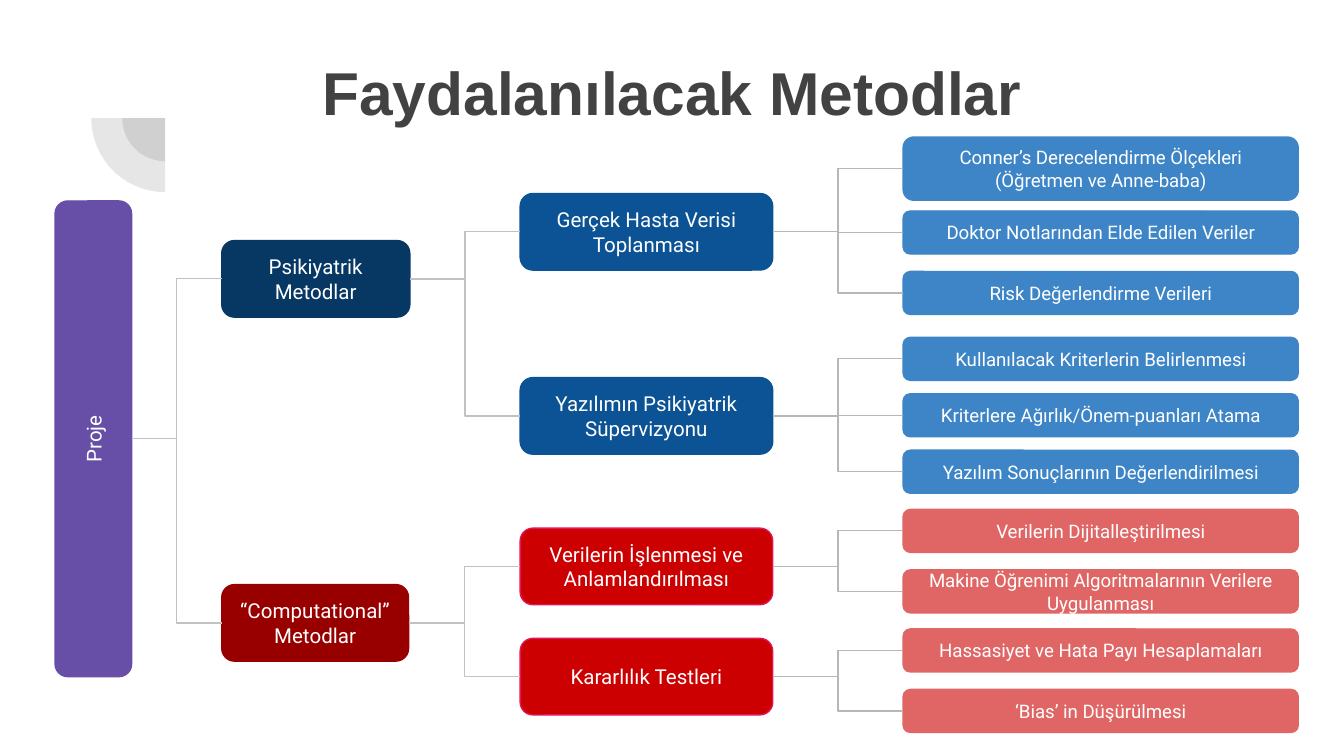
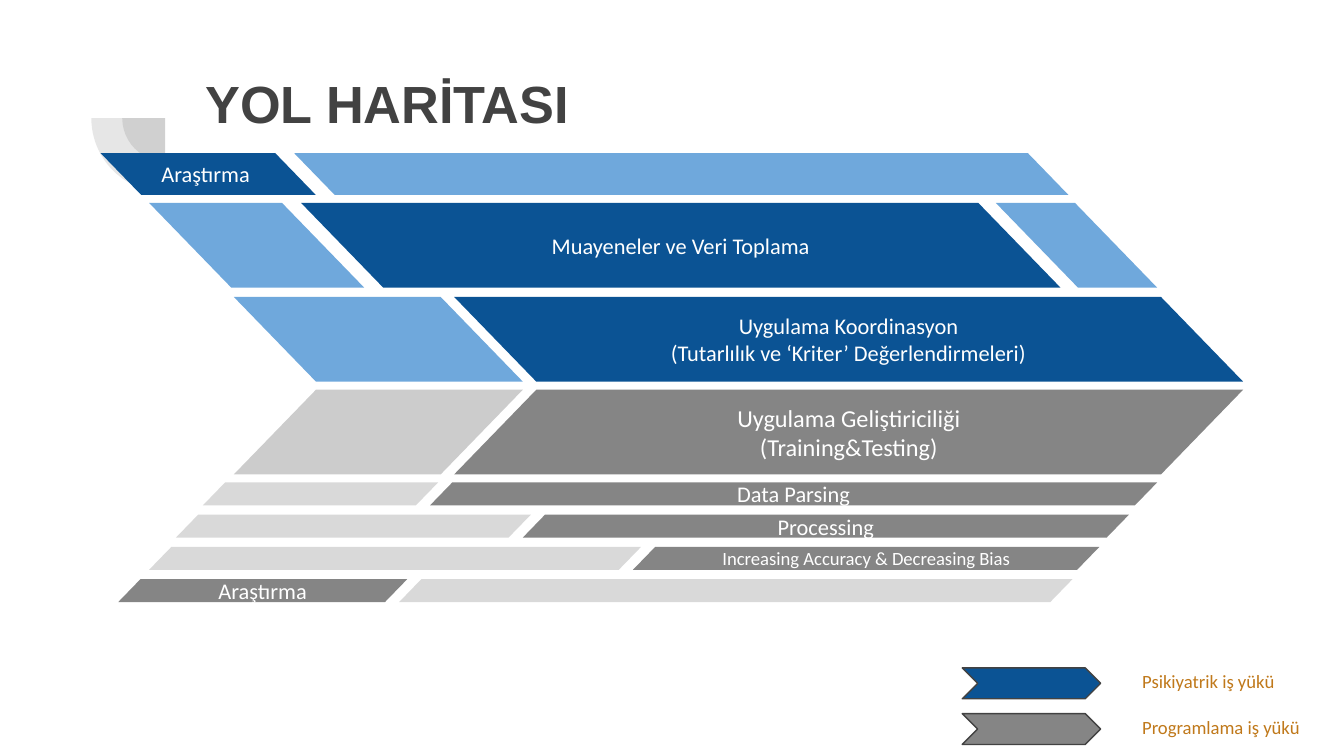
from lxml import etree
from pptx import Presentation
from pptx.dml.color import RGBColor
from pptx.enum.shapes import MSO_CONNECTOR, MSO_SHAPE
from pptx.enum.text import MSO_ANCHOR, MSO_AUTO_SIZE, PP_ALIGN
from pptx.oxml.ns import qn
from pptx.util import Inches, Pt

PIE = MSO_SHAPE.PIE
ROUNDED = MSO_SHAPE.ROUNDED_RECTANGLE
PARALLELOGRAM = MSO_SHAPE.PARALLELOGRAM
CHEVRON = MSO_SHAPE.CHEVRON
ELBOW = MSO_CONNECTOR.ELBOW
LEFT, CENTER = PP_ALIGN.LEFT, PP_ALIGN.CENTER
TOP, MIDDLE = MSO_ANCHOR.TOP, MSO_ANCHOR.MIDDLE
GROW = MSO_AUTO_SIZE.SHAPE_TO_FIT_TEXT

COLORS = {
    "dark": "424242",
    "white": "FFFFFF",
    "purple": "674EA7",
    "navy": "073763",
    "blue": "0B5394",
    "mid_blue": "3D85C6",
    "light_blue": "6FA8DC",
    "maroon": "980000",
    "red": "CC0000",
    "pink": "E1165A",
    "coral": "E06666",
    "gray": "858585",
    "silver": "CCCCCC",
    "pale": "D9D9D9",
    "trunk": "C2C2C2",
    "branch": "B7B7B7",
    "amber": "C0791B",
}
TITLE_FONT, TREE_FONT, ROADMAP_FONT = "Arial", "Roboto", "Calibri"
SLIDE_WIDTH = Inches(10)
SLIDE_HEIGHT = SLIDE_WIDTH * 9 // 16
SLANT = 0.97
LEAF_HEIGHT = 0.32
NODE_HEIGHT = 0.57

METHOD_TREE = [
    ("Psikiyatrik Metodlar", 0.77, 1.4, "navy", [
        ("Gerçek Hasta Verisi Toplanması", 0.42, "blue", "blue", "mid_blue", [
            (0, 0.47, ["Conner’s Derecelendirme Ölçekleri", "(Öğretmen ve Anne-baba)"]),
            (0.55, LEAF_HEIGHT, ["Doktor Notlarından Elde Edilen Veriler"]),
            (1, LEAF_HEIGHT, ["Risk Değerlendirme Verileri"]),
        ]),
        ("Yazılımın Psikiyatrik Süpervizyonu", 1.79, "blue", "blue", "mid_blue", [
            (1.49, LEAF_HEIGHT, ["Kullanılacak Kriterlerin Belirlenmesi"]),
            (1.91, LEAF_HEIGHT, ["Kriterlere Ağırlık/Önem-puanları Atama"]),
            (2.33, LEAF_HEIGHT, ["Yazılım Sonuçlarının Değerlendirilmesi"]),
        ]),
    ]),
    ("“Computational” Metodlar", 3.33, 1.39, "maroon", [
        ("Verilerin İşlenmesi ve Anlamlandırılması", 2.91, "red", "pink", "coral", [
            (2.77, LEAF_HEIGHT, ["Verilerin Dijitalleştirilmesi"]),
            (3.22, LEAF_HEIGHT, ["Makine Öğrenimi Algoritmalarının Verilere Uygulanması"]),
        ]),
        ("Kararlılık Testleri", 3.73, "red", "pink", "coral", [
            (3.66, LEAF_HEIGHT, ["Hassasiyet ve Hata Payı Hesaplamaları"]),
            (4.11, LEAF_HEIGHT, ["‘Bias’ in Düşürülmesi"]),
        ]),
    ]),
]

DOWN_ROWS = [
    (0, 0.31, [
        (0, 1.6, "blue", ["Araştırma "], 12),
        (1.44, 5.76, "light_blue", [], 12),
    ]),
    (0.37, 0.63, [
        (0.36, 1.6, "light_blue", [], 12),
        (1.49, 5.65, "blue", ["Muayeneler ve Veri Toplama"], 12),
        (6.66, 1.2, "light_blue", [], 12),
    ]),
    (1.07, 0.63, [
        (0.99, 2.15, "light_blue", [], 12),
        (2.63, 5.87, "blue",
         ["Uygulama Koordinasyon", "(Tutarlılık ve ‘Kriter’ Değerlendirmeleri)"], 12),
    ]),
]
UP_ROWS = [
    (1.76, 0.63, [
        (0.99, 2.15, "silver", [], 13),
        (2.63, 5.87, "gray", ["Uygulama Geliştiriciliği", "(Training&Testing)"], 13),
    ]),
    (2.45, 0.17, [
        (0.76, 1.75, "pale", [], 12),
        (2.45, 5.41, "gray", ["Data Parsing"], 12),
    ]),
    (2.69, 0.17, [
        (0.56, 2.64, "pale", [], 12),
        (3.14, 4.51, "gray", ["Processing"], 12),
    ]),
    (2.93, 0.17, [
        (0.36, 3.66, "pale", [], 12),
        (3.96, 3.47, "gray", ["Increasing Accuracy & Decreasing Bias"], 10),
    ]),
    (3.17, 0.17, [
        (0.13, 2.15, "gray", ["Araştırma"], 12),
        (2.22, 5.01, "pale", [], 12),
    ]),
]


def rgb(name):
    return RGBColor.from_string(COLORS[name])


def write(shape, lines, font, size, color, align=CENTER, anchor=MIDDLE, bold=False, spacing=None):
    frame = shape.text_frame
    frame.word_wrap = True
    frame.vertical_anchor = anchor
    frame.margin_left = frame.margin_right = Inches(0.1)
    frame.margin_top = frame.margin_bottom = Inches(0.1)
    for index, line in enumerate(lines):
        paragraph = frame.add_paragraph() if index else frame.paragraphs[0]
        paragraph.alignment = align
        if spacing:
            paragraph.line_spacing = spacing
        run = paragraph.add_run()
        run.text = line
        run.font.name = font
        run.font.size = Pt(size)
        run.font.bold = bold
        run.font.color.rgb = rgb(color)


def add_block(slide, preset, box, fill, line=None):
    shape = slide.shapes.add_shape(preset, *map(Inches, box))
    shape.shadow.inherit = False
    shape.fill.solid()
    shape.fill.fore_color.rgb = rgb(fill)
    if line:
        shape.line.color.rgb = rgb(line)
        shape.line.width = Pt(0.75)
    else:
        shape.line.fill.background()
    return shape


def add_label(slide, box, lines, font, size, color, **style):
    label = slide.shapes.add_textbox(*map(Inches, box))
    write(label, lines, font, size, color, anchor=TOP, **style)
    return label


def add_node(slide, box, lines, size, fill, line=None):
    node = add_block(slide, ROUNDED, box, fill, line or fill)
    write(node, lines, TREE_FONT, size, "white")
    return node


def add_link(slide, parent, child, color):
    middle = parent.top + parent.height // 2
    right = parent.left + parent.width
    if parent.rotation:
        right = parent.left + (parent.width + parent.height) // 2
    link = slide.shapes.add_connector(
        ELBOW, right, middle, child.left, child.top + child.height // 2)
    if not parent.rotation:
        link.begin_connect(parent, 3)
    link.end_connect(child, 1)
    link.line.color.rgb = rgb(color)
    link.line.width = Pt(0.75)
    etree.SubElement(link._element.spPr, qn("a:effectLst"))


def add_corner_arcs(slide, center_x, center_y):
    for radius in (0.32, 0.55):
        box = (center_x - radius, center_y - radius, 2 * radius, 2 * radius)
        arc = add_block(slide, PIE, box, "dark")
        arc.adjustments[0] = 54
        arc.adjustments[1] = 108
        color = arc._element.spPr.find(qn("a:solidFill"))[0]
        etree.SubElement(color, qn("a:alpha"), val="13000")


def add_titled_slide(presentation, title, box, size, align):
    slide = presentation.slides.add_slide(presentation.slide_layouts[6])
    add_corner_arcs(slide, 1.23, 0.88)
    add_label(slide, box, [title], TITLE_FONT, size, "dark",
              align=align, bold=True, spacing=0.9)
    return slide


def add_method_tree(slide, left, top):
    root_length = 3.54
    root_box = (left + (NODE_HEIGHT - root_length) / 2, top + 1.96, root_length, NODE_HEIGHT)
    root = add_node(slide, root_box, ["Proje"], 11, "purple")
    root.rotation = 270
    for method, method_top, width, method_fill, steps in METHOD_TREE:
        method_box = (left + 1.24, top + method_top, width, NODE_HEIGHT)
        method_node = add_node(slide, method_box, [method], 11, method_fill)
        add_link(slide, root, method_node, "trunk")
        for step, step_top, fill, line, leaf_fill, leaves in steps:
            step_box = (left + 3.46, top + step_top, 1.88, NODE_HEIGHT)
            step_node = add_node(slide, step_box, [step], 11, fill, line)
            add_link(slide, method_node, step_node, "trunk")
            for leaf_top, height, lines in leaves:
                leaf_box = (left + 6.31, top + leaf_top, 2.94, height)
                leaf = add_node(slide, leaf_box, lines, 10, leaf_fill)
                add_link(slide, step_node, leaf, "branch")


def add_roadmap(slide, left, top):
    for rows, flipped in ((DOWN_ROWS, True), (UP_ROWS, False)):
        for row_top, height, bars in rows:
            for bar_left, width, fill, lines, size in bars:
                box = (left + bar_left, top + row_top, width, height)
                bar = add_block(slide, PARALLELOGRAM, box, fill)
                bar.adjustments[0] = SLANT
                if flipped:
                    bar._element.spPr.get_or_add_xfrm().set("flipH", "1")
                write(bar, lines, ROADMAP_FONT, size, "white")


def add_legend(slide, left, top):
    entries = [("blue", "Psikiyatrik iş yükü", 1.35), ("gray", "Programlama iş yükü", 1.52)]
    for index, (fill, text, width) in enumerate(entries):
        row_top = top + 0.34 * index
        add_block(slide, CHEVRON, (left, row_top + 0.07, 1.03, 0.23), fill, "dark")
        label = add_label(slide, (left + 1.24, row_top, width, 0.37), [text],
                          ROADMAP_FONT, 10, "amber", align=LEFT)
        label.text_frame.auto_size = GROW


def build_methods_slide(presentation):
    slide = add_titled_slide(presentation, "Faydalanılacak Metodlar",
                             (0.34, 0.37, 9.32, 0.63), 32.4, CENTER)
    add_method_tree(slide, 0.41, 1.02)


def build_roadmap_slide(presentation):
    slide = add_titled_slide(presentation, "YOL HARİTASI",
                             (1.43, 0.48, 7.69, 1.09), 28, LEFT)
    add_roadmap(slide, 0.75, 1.14)
    add_legend(slide, 7.16, 4.9)


def main():
    presentation = Presentation()
    presentation.slide_width = SLIDE_WIDTH
    presentation.slide_height = SLIDE_HEIGHT
    build_methods_slide(presentation)
    build_roadmap_slide(presentation)
    presentation.save("out.pptx")


if __name__ == "__main__":
    main()
